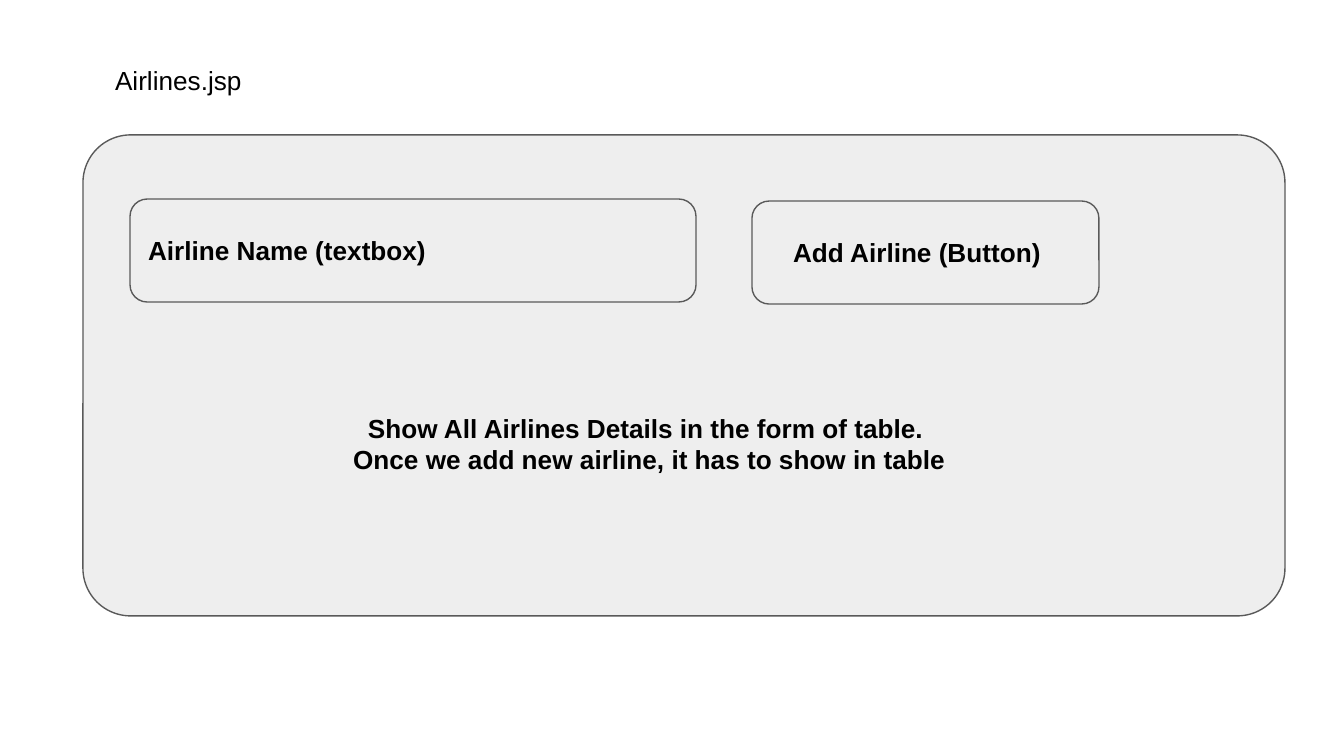
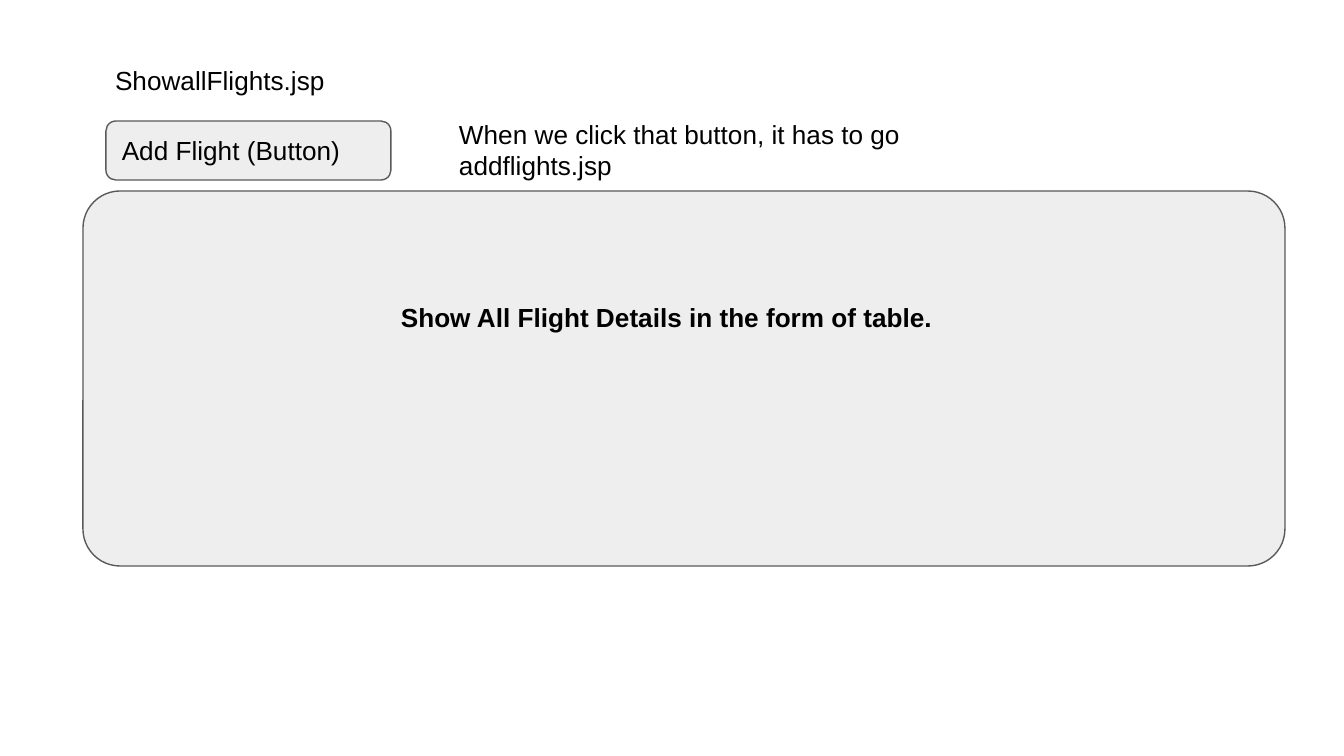
from pptx import Presentation, util as u
from pptx.dml.color import RGBColor
from pptx.enum import shapes, text

BLACK = RGBColor(0x00, 0x00, 0x00)
PANEL = RGBColor(0xEE, 0xEE, 0xEE)
OUTLINE = RGBColor(0x59, 0x59, 0x59)
FONT = "Arial"
SIZE = 14
INSET = 13
EMU_PER_PX = 914400 / 134.4
TITLE_ONLY = 5


def px(n):
    """Turn pixels into EMU."""
    return u.Emu(round(n * EMU_PER_PX))


def write(tf, lines, bold=False, align=text.PP_ALIGN.LEFT,
          anchor=text.MSO_ANCHOR.TOP, fit=text.MSO_AUTO_SIZE.SHAPE_TO_FIT_TEXT):
    """Fill a text frame with one paragraph per line."""
    tf.word_wrap = True
    tf.auto_size = fit
    tf.vertical_anchor = anchor
    tf.margin_left = tf.margin_right = tf.margin_top = tf.margin_bottom = px(INSET)
    for i, line in enumerate(lines):
        p = tf.add_paragraph() if i else tf.paragraphs[0]
        p.alignment = align
        r = p.add_run()
        r.text = line
        r.font.name, r.font.size, r.font.bold = FONT, u.Pt(SIZE), bold
        r.font.color.rgb = BLACK


class Wireframe:
    """Holds the presentation, its style and the current slide."""

    def __init__(self):
        """Start an empty widescreen presentation."""
        self.prs = Presentation()
        self.prs.slide_width, self.prs.slide_height = px(1344), px(756)
        self.s = None

    def page(self, name):
        """Add a slide titled with the page's file name."""
        self.s = self.prs.slides.add_slide(self.prs.slide_layouts[TITLE_ONLY])
        sp = self.s.shapes.title
        sp.left, sp.top, sp.width, sp.height = map(px, (102, 51, 255, 59))
        write(sp.text_frame, [name])

    def box(self, x, y, w, h, label=None, radius=0.167, bold=False):
        """Draw a rounded box, with a label if given."""
        sp = self.s.shapes.add_shape(shapes.MSO_SHAPE.ROUNDED_RECTANGLE,
                                     *map(px, (x, y, w, h)))
        sp.adjustments[0] = radius
        sp.shadow.inherit = False
        sp.fill.solid()
        sp.fill.fore_color.rgb = PANEL
        sp.line.color.rgb = OUTLINE
        sp.line.width = u.Pt(0.75)
        if label:
            write(sp.text_frame, [label], bold=bold,
                  anchor=text.MSO_ANCHOR.MIDDLE, fit=text.MSO_AUTO_SIZE.NONE)

    def panel(self, y, h):
        """Draw the large page area."""
        self.box(83, y, 1202, h, radius=0.099)

    def note(self, x, y, w, h, *lines, **fmt):
        """Add a free-standing text box."""
        sp = self.s.shapes.add_textbox(*map(px, (x, y, w, h)))
        write(sp.text_frame, lines, **fmt)

    def table_note(self, x, y, *lines):
        """Add the centred bold note that stands for a table."""
        self.note(x, y, 1017, 90, *lines, bold=True, align=text.PP_ALIGN.CENTER)


def airlines(w):
    """Build the page that lists and adds airlines."""
    w.page("Airlines.jsp")
    w.panel(135, 481)
    w.box(130, 199, 566, 103, "Airline Name (textbox)", bold=True)
    w.box(752, 201, 347, 103)
    w.note(780, 223, 564, 59, "Add Airline (Button)", bold=True)
    w.table_note(141, 399, "Show All Airlines Details in the form of table. ",
                 "Once we add new airline, it has to show in table")


def flights(w):
    """Build the page that lists all flights."""
    w.page("ShowallFlights.jsp")
    w.panel(191, 375)
    w.table_note(162, 288, "Show All Flight Details in the form of table. ")
    w.box(106, 121, 285, 59, "Add Flight (Button)")
    w.note(446, 105, 485, 90,
           "When we click that button, it has to go addflights.jsp")


w = Wireframe()
airlines(w)
flights(w)
w.prs.save("out.pptx")
